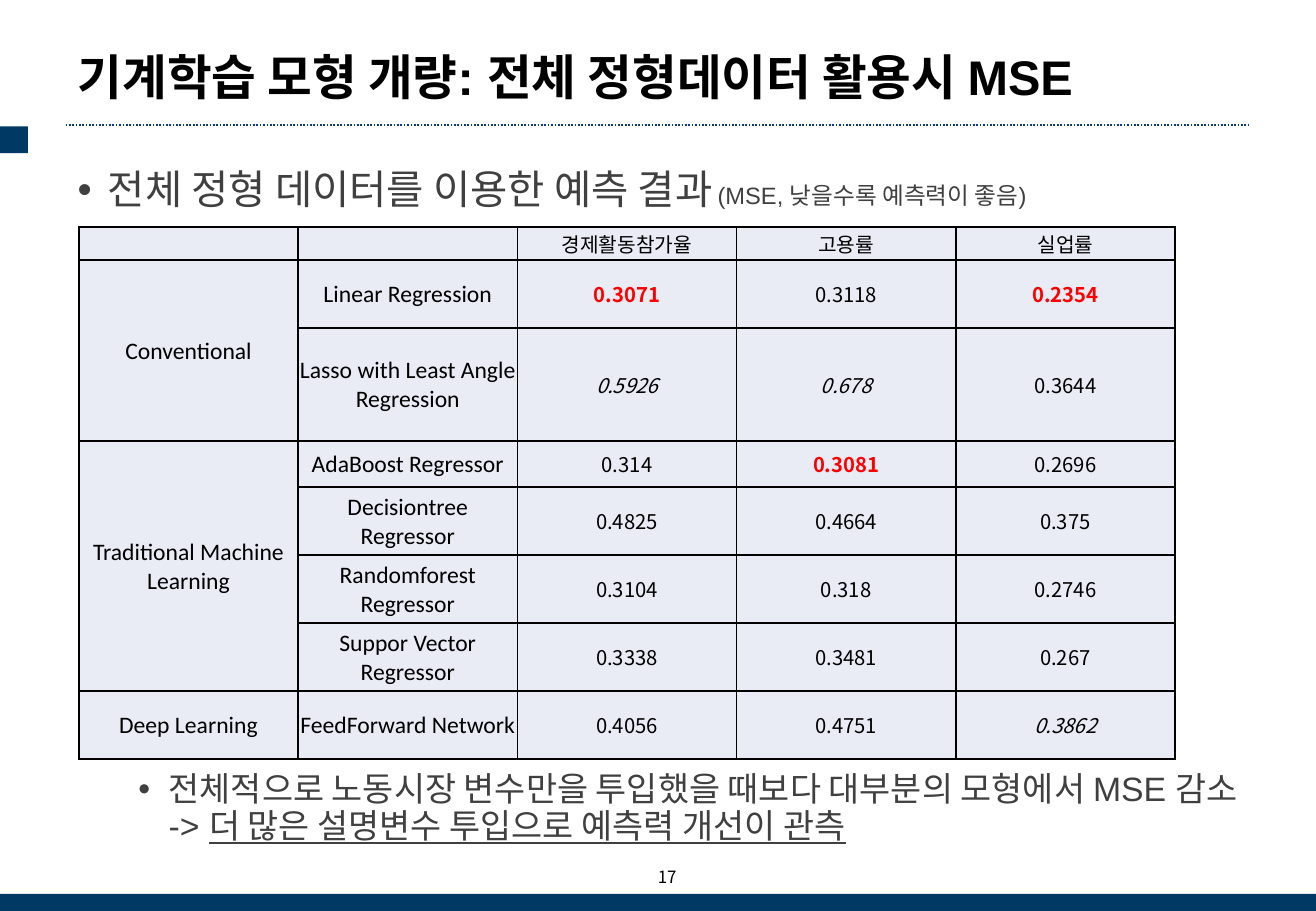
from lxml import etree
from pptx import Presentation
from pptx.dml.color import RGBColor
from pptx.enum import dml, shapes, text
from pptx.oxml import ns
from pptx.util import Inches, Pt

COLORS = {"navy": "003964", "rule": "083982", "body": "404040", "black": "000000",
          "best": "FF0000", "cell": "E9EBF5"}
LATIN, NUMERIC = "Calibri", "Noto Sans CJK KR"
HEADERS = ["", "", "경제활동참가율", "고용률", "실업률"]
RESULTS = [
    ("Conventional", "Linear Regression", "0.3071", "0.3118", "0.2354"),
    ("", "Lasso with Least Angle Regression", "0.5926", "0.678", "0.3644"),
    ("Traditional Machine Learning", "AdaBoost Regressor", "0.314", "0.3081", "0.2696"),
    ("", "Decisiontree Regressor", "0.4825", "0.4664", "0.375"),
    ("", "Randomforest Regressor", "0.3104", "0.318", "0.2746"),
    ("", "Suppor Vector Regressor", "0.3338", "0.3481", "0.267"),
    ("Deep Learning", "FeedForward Network", "0.4056", "0.4751", "0.3862"),
]
ROW_HEIGHTS = [0.27, 0.56, 0.93, 0.38, 0.56, 0.56, 0.56, 0.56]
GROUPS = [(1, 2), (3, 6)]


def rgb(name):
    """Return the named colour."""
    return RGBColor.from_string(COLORS[name])


def inches(box):
    """Turn a box of numbers into lengths."""
    return [Inches(value) for value in box]


def set_font(font, name, size, color="black", bold=False, italic=False):
    """Set the main properties of a font."""
    font.name, font.size, font.bold, font.italic = name, Pt(size), bold, italic
    font.color.rgb = rgb(color)


def add_bar(page, box):
    """Draw a plain navy rectangle."""
    bar = page.shapes.add_shape(shapes.MSO_SHAPE.RECTANGLE, *inches(box))
    bar.shadow.inherit = False
    bar.fill.solid()
    bar.fill.fore_color.rgb = rgb("navy")
    bar.line.fill.background()


def add_frame(page, width, height):
    """Draw the dotted rule, the navy bars and the page number."""
    rule = page.shapes.add_connector(
        shapes.MSO_CONNECTOR.STRAIGHT, *inches((0.54, 1.03, 10.27, 1.03)))
    rule.line.color.rgb = rgb("rule")
    rule.line.width = Pt(1)
    rule.line.dash_style = dml.MSO_LINE.ROUND_DOT
    etree.SubElement(rule._element.spPr, ns.qn("a:effectLst"))
    add_bar(page, (0, height - 0.14, width, 0.14))
    add_bar(page, (-0.01, 1.04, 0.24, 0.22))
    number = page.shapes.add_textbox(*inches((width / 2 - 0.25, 7.15, 0.5, 0.14)))
    number.text_frame.word_wrap = True
    number.text_frame.vertical_anchor = text.MSO_ANCHOR.MIDDLE
    para = number.text_frame.paragraphs[0]
    para.text, para.alignment = "17", text.PP_ALIGN.RIGHT
    set_font(para.font, NUMERIC, 10)


def add_title(page, box):
    """Place and format the title placeholder."""
    title = page.shapes.title
    title.left, title.top, title.width, title.height = inches(box)
    frame = title.text_frame
    frame.text = "기계학습 모형 개량: 전체 정형데이터 활용시 MSE"
    frame.auto_size = text.MSO_AUTO_SIZE.NONE
    frame.vertical_anchor = text.MSO_ANCHOR.MIDDLE
    para = frame.paragraphs[0]
    para.alignment, para.line_spacing = text.PP_ALIGN.LEFT, 0.9
    set_font(para.font, "Arial", 28.8, bold=True)


def add_bullet(page, box, size, indent, before, words):
    """Write one bullet and return its runs."""
    frame = page.shapes.add_textbox(*inches(box)).text_frame
    frame.word_wrap = True
    para = frame.paragraphs[0]
    para.line_spacing, para.space_before = 0.9, Pt(before)
    props = para._p.get_or_add_pPr()
    props.set("marL", str(Inches(indent)))
    props.set("indent", str(Inches(-0.25)))
    etree.SubElement(props, ns.qn("a:buFont"), typeface="Arial")
    etree.SubElement(props, ns.qn("a:buChar"), char="•")
    set_font(para.font, "Arial", size, "body")
    for word in words:
        para.add_run().text = word
    return para.runs


def add_borders(cell):
    """Draw black lines on the four sides of a cell."""
    props = cell._tc.get_or_add_tcPr()
    for side in ("lnL", "lnR", "lnT", "lnB"):
        line = etree.SubElement(props, ns.qn(f"a:{side}"), w=str(Pt(1)))
        fill = etree.SubElement(line, ns.qn("a:solidFill"))
        etree.SubElement(fill, ns.qn("a:srgbClr"), val=COLORS["black"])


def format_cell(cell, words, tight):
    """Fill a cell and centre its text."""
    add_borders(cell)
    cell.fill.solid()
    cell.fill.fore_color.rgb = rgb("cell")
    cell.vertical_anchor = text.MSO_ANCHOR.MIDDLE
    if tight:
        cell.margin_left = cell.margin_right = cell.margin_top = Inches(0.01)
        cell.margin_bottom = 0
    para = cell.text_frame.paragraphs[0]
    para.text, para.alignment = words, text.PP_ALIGN.CENTER
    return para.font


def add_results(page, box):
    """Build the error table, with each column's best in red and worst in italics."""
    rows = [HEADERS, *RESULTS]
    table = page.shapes.add_table(len(rows), len(HEADERS), *inches(box)).table
    for column in table.columns:
        column.width = Inches(box[2] / len(HEADERS))
    for row, height in zip(table.rows, ROW_HEIGHTS):
        row.height = Inches(height)
    for c, values in enumerate(zip(*rows)):
        scores = values[1:]
        for r, value in enumerate(values):
            is_score = r > 0 and c > 1
            font = format_cell(table.cell(r, c), value, not is_score)
            if is_score:
                best = value == min(scores, key=float)
                worst = value == max(scores, key=float)
                set_font(font, NUMERIC, 12, "best" if best else "black", best, worst)
            else:
                set_font(font, LATIN, 14 if r else 12)
    for first, last in GROUPS:
        table.cell(first, 0).merge(table.cell(last, 0))


def build_page(deck, width, height):
    """Compose the results slide."""
    page = deck.slides.add_slide(deck.slide_layouts[5])
    add_frame(page, width, height)
    add_title(page, (0.54, 0.27, 9.75, 0.77))
    heading = add_bullet(page, (0.54, 1.35, 9.75, 0.5), 24, 0.25, 10,
                         ["전체 정형 데이터를 이용한 예측 결과", " (MSE, 낮을수록 예측력이 좋음)"])
    heading[1].font.size = Pt(14)
    add_results(page, (0.65, 1.87, 9.02, 4.38))
    finding = add_bullet(page, (0.54, 6.31, 9.75, 0.72), 20, 0.75, 5,
                         ["전체적으로 노동시장 변수만을 투입했을 때보다 대부분의 모형에서 MSE 감소 -> ",
                          "더 많은 설명변수 투입으로 예측력 개선이 관측"])
    finding[1].font.underline = True


def main():
    """Create and save the deck."""
    width, height = 10.83, 7.5
    deck = Presentation()
    deck.slide_width, deck.slide_height = Inches(width), Inches(height)
    build_page(deck, width, height)
    deck.save("out.pptx")


if __name__ == "__main__":
    main()
